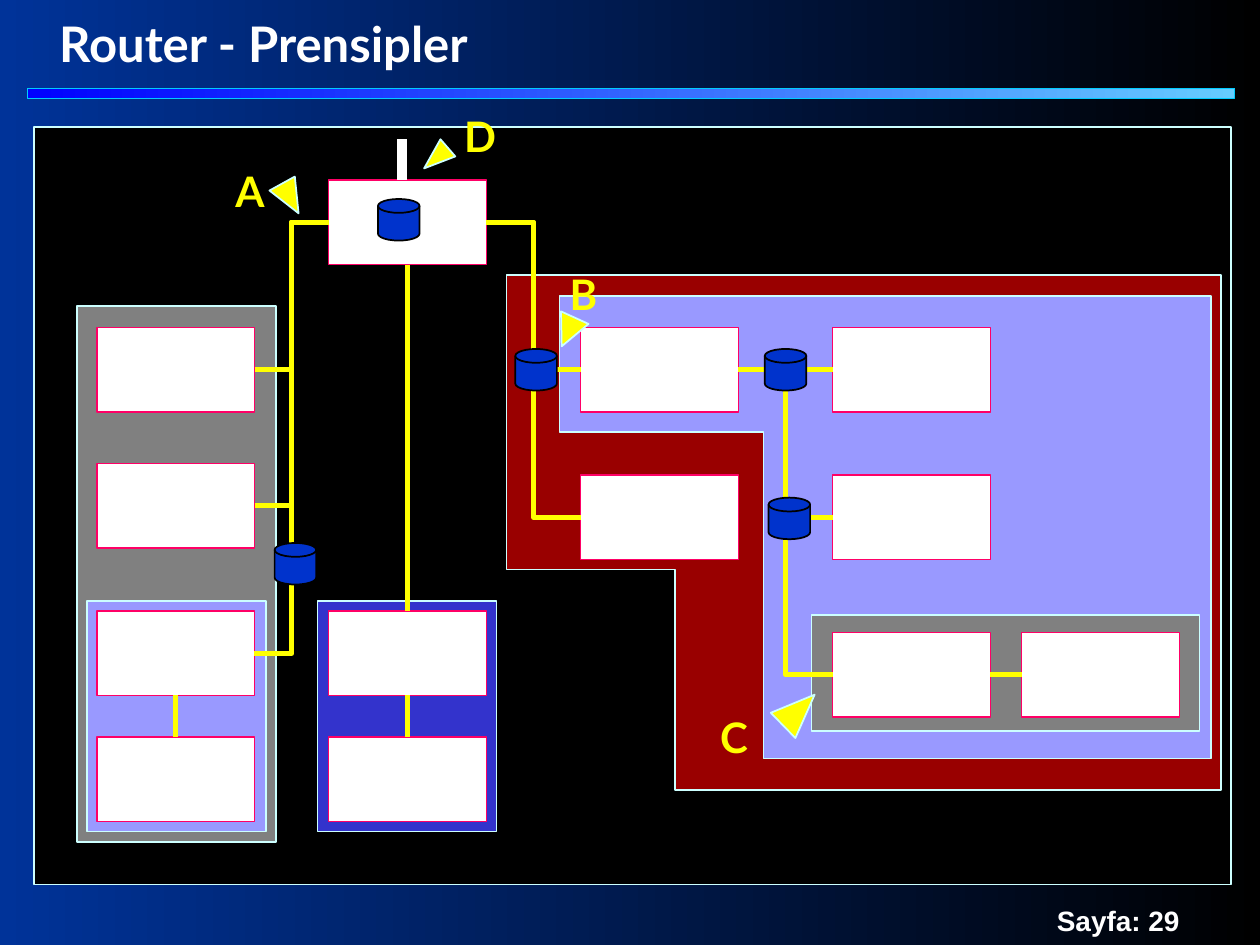
import lxml.etree
import pptx
import pptx.dml.color
import pptx.enum.shapes
import pptx.enum.text
import pptx.oxml.ns
import pptx.util

Inches = pptx.util.Inches
SHAPES = pptx.enum.shapes.MSO_SHAPE
CONNECTORS = pptx.enum.shapes.MSO_CONNECTOR
TOP, LEFT, BOTTOM, RIGHT = range(4)

COLUMNS = [0.77, 2.61, 4.61, 6.61, 8.11]
ROWS = [1.43, 2.6, 3.68, 3.77, 4.85, 5.02, 5.85]
NODE_WIDTH, NODE_HEIGHT = 1.25, 0.67
DISK_SIZE = 0.33

NODES = {
    "hub": (1, 0),
    "west 1": (0, 1), "west 2": (0, 2), "west 3": (0, 4), "west 4": (0, 6),
    "south 1": (1, 4), "south 2": (1, 6),
    "east 1": (2, 1), "east 2": (2, 3),
    "far 1": (3, 1), "far 2": (3, 3), "far 3": (3, 5), "far 4": (4, 5),
}
LINKS = [
    ("hub", RIGHT, "east 1", LEFT), ("hub", RIGHT, "east 2", LEFT),
    ("east 1", RIGHT, "far 1", LEFT), ("east 1", RIGHT, "far 2", LEFT),
    ("east 1", RIGHT, "far 3", LEFT), ("far 3", RIGHT, "far 4", LEFT),
    ("west 1", RIGHT, "hub", LEFT), ("west 2", RIGHT, "hub", LEFT),
    ("hub", LEFT, "west 3", RIGHT), ("hub", BOTTOM, "south 1", TOP),
    ("south 1", BOTTOM, "south 2", TOP), ("west 3", BOTTOM, "west 4", TOP),
]
DISKS = [(2.18, 4.31), (6.1, 3.95), (4.09, 2.77), (6.07, 2.77), (3, 1.58)]
MARKERS = [
    ("A", (1.77, 1.26, 0.43, 0.5), (2.19, 1.44, 0.23, 0.27), 331.1),
    ("B", (4.42, 2.08, 0.42, 0.5), (4.39, 2.51, 0.24, 0.25), 24.5),
    ("C", (5.62, 5.6, 0.41, 0.5), (6.2, 5.46, 0.28, 0.35), 225.7),
    ("D", (3.59, 0.83, 0.44, 0.5), (3.37, 1.13, 0.18, 0.25), 49.1),
]


def color(value):
    """Turn a hex string into a colour."""
    return pptx.dml.color.RGBColor.from_string(value)


def box(left, top, right, bottom):
    """List the corners of a rectangle."""
    return [(left, top), (right, top), (right, bottom), (left, bottom)]


def paint(shape, fill, line, width):
    """Give a shape a plain fill and outline without shadow."""
    shape.shadow.inherit = False
    shape.fill.solid()
    shape.fill.fore_color.rgb = color(fill)
    shape.line.color.rgb = color(line)
    shape.line.width = pptx.util.Pt(width)


def paint_gradient(fill, first, last):
    """Run a gradient from left to right."""
    fill.gradient()
    fill.gradient_angle = 0
    for stop, value in zip(fill.gradient_stops, (first, last)):
        stop.color.rgb = color(value)


def add_preset(slide, preset, area, fill, line, width=1, rotation=0):
    """Add a painted preset shape."""
    shape = slide.shapes.add_shape(preset, *map(Inches, area))
    shape.rotation = rotation
    paint(shape, fill, line, width)
    return shape


def add_zone(slide, corners, fill):
    """Add a closed network zone."""
    points = [(Inches(x), Inches(y)) for x, y in corners]
    builder = slide.shapes.build_freeform(*points[0])
    builder.add_line_segments(points[1:], close=True)
    paint(builder.convert_to_shape(), fill, "CCFFFF", 1)


def add_node(slide, column, row):
    """Add a white node at a grid position."""
    area = (COLUMNS[column], ROWS[row], NODE_WIDTH, NODE_HEIGHT)
    return add_preset(slide, SHAPES.RECTANGLE, area, "FFFFFF", "FF0066", 0.75)


def add_line(slide, kind, ends, value, width):
    """Add a connector without shadow."""
    connector = slide.shapes.add_connector(kind, *ends)
    connector.line.color.rgb = color(value)
    connector.line.width = pptx.util.Pt(width)
    properties = connector._element.spPr
    lxml.etree.SubElement(properties, pptx.oxml.ns.qn("a:effectLst"))
    return connector


def side_middle(node, side):
    """Find the middle of a side of a node."""
    across = {LEFT: 0, RIGHT: node.width}.get(side, node.width // 2)
    down = {TOP: 0, BOTTOM: node.height}.get(side, node.height // 2)
    return node.left + across, node.top + down


def add_link(slide, begin, begin_side, end, end_side):
    """Join two nodes, with an elbow unless they are in line."""
    start, finish = side_middle(begin, begin_side), side_middle(end, end_side)
    aligned = start[0] == finish[0] or start[1] == finish[1]
    kind = CONNECTORS.STRAIGHT if aligned else CONNECTORS.ELBOW
    connector = add_line(slide, kind, start + finish, "FFFF00", 3)
    connector.begin_connect(begin, begin_side)
    connector.end_connect(end, end_side)


def set_text(shape, text, size, font="Lato", value="FFFFFF", centred=False):
    """Write one bold line into a shape."""
    frame = shape.text_frame
    frame.text = text
    frame.word_wrap = not centred
    anchors, alignments = pptx.enum.text.MSO_ANCHOR, pptx.enum.text.PP_ALIGN
    frame.vertical_anchor = anchors.MIDDLE if centred else anchors.TOP
    frame.auto_size = pptx.enum.text.MSO_AUTO_SIZE.NONE
    paragraph = frame.paragraphs[0]
    paragraph.alignment = alignments.CENTER if centred else alignments.LEFT
    run_font = paragraph.runs[0].font
    run_font.size, run_font.bold, run_font.name = pptx.util.Pt(size), True, font
    run_font.color.rgb = color(value)


def add_frame(slide):
    """Add the background, title, rule and page number."""
    paint_gradient(slide.background.fill, "003399", "000000")
    title = slide.shapes.title
    title.left, title.top, title.width, title.height = map(Inches, (0.37, 0.06, 3.84, 0.57))
    set_text(title, "Router - Prensipler", 28)
    rule = add_preset(slide, SHAPES.RECTANGLE, (0.22, 0.7, 9.58, 0.08), "0000FF", "00CCFF", 0.75)
    paint_gradient(rule.fill, "0000FF", "66CCFF")
    page = slide.shapes.add_textbox(*map(Inches, (8.29, 7.12, 2, 0.37)))
    set_text(page, "Sayfa: 29", 16, "Arial")


def add_zones(slide):
    """Add the nested zones from back to front."""
    add_zone(slide, box(0.27, 1.01, 9.77, 7.02), "000000")
    add_zone(slide, [(4.02, 2.18), (9.69, 2.18), (9.69, 6.27),
                     (5.36, 6.27), (5.36, 4.52), (4.02, 4.52)], "990000")
    add_zone(slide, [(4.44, 2.35), (9.61, 2.35), (9.61, 6.02),
                     (6.06, 6.02), (6.06, 3.43), (4.44, 3.43)], "9999FF")
    add_zone(slide, box(6.44, 4.88, 9.52, 5.8), "808080")
    add_zone(slide, box(0.61, 2.43, 2.19, 6.68), "808080")
    add_zone(slide, box(0.69, 4.77, 2.11, 6.6), "9999FF")
    add_zone(slide, box(2.52, 4.77, 3.94, 6.6), "3333CC")


def add_marker(slide, letter, text_area, arrow_area, rotation):
    """Add a letter and the triangle that points from it."""
    add_preset(slide, SHAPES.FLOWCHART_MERGE, arrow_area, "FFFF00", "CCFFFF", rotation=rotation)
    label = slide.shapes.add_textbox(*map(Inches, text_area))
    set_text(label, letter, 24, value="FFFF00", centred=True)


def main():
    """Build the router slide."""
    presentation = pptx.Presentation()
    presentation.slide_width, presentation.slide_height = Inches(10), Inches(7.5)
    slide = presentation.slides.add_slide(presentation.slide_layouts[5])
    add_frame(slide)
    add_zones(slide)
    nodes = {name: add_node(slide, *place) for name, place in NODES.items()}
    for begin, begin_side, end, end_side in LINKS:
        add_link(slide, nodes[begin], begin_side, nodes[end], end_side)
    antenna = map(Inches, (3.19, 1.43, 3.19, 1.1))
    add_line(slide, CONNECTORS.STRAIGHT, antenna, "FFFFFF", 6)
    for left, top in DISKS:
        area = (left, top, DISK_SIZE, DISK_SIZE)
        add_preset(slide, SHAPES.FLOWCHART_MAGNETIC_DISK, area, "0033CC", "000000")
    for marker in MARKERS:
        add_marker(slide, *marker)
    presentation.save("out.pptx")


if __name__ == "__main__":
    main()
